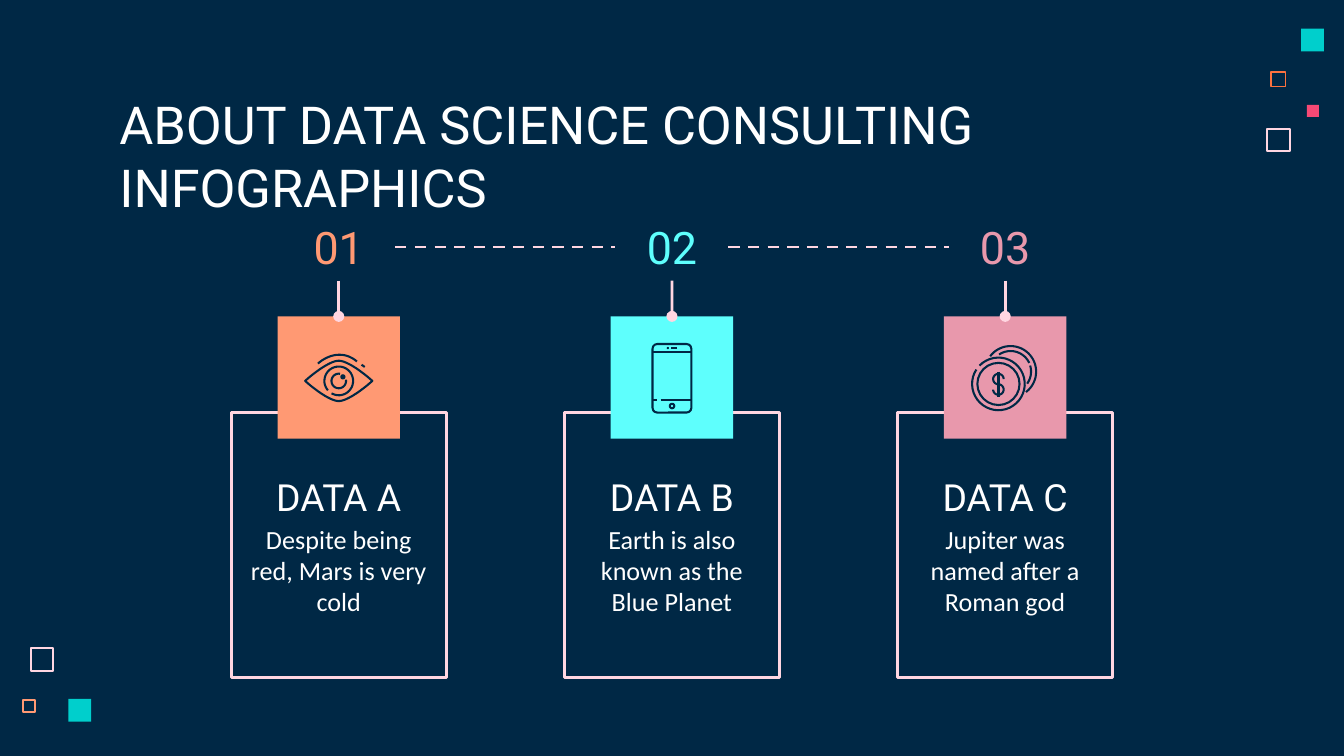
from math import cos, radians, sin

from lxml.etree import SubElement
from pptx import Presentation
from pptx.dml.color import RGBColor
from pptx.enum.dml import MSO_LINE
from pptx.enum.shapes import MSO_CONNECTOR, MSO_SHAPE
from pptx.enum.text import MSO_ANCHOR, PP_ALIGN
from pptx.oxml.ns import qn
from pptx.util import Pt

NAVY = RGBColor(0x00, 0x28, 0x45)
WHITE = RGBColor(0xFF, 0xFF, 0xFF)
BLUSH = RGBColor(0xFF, 0xD6, 0xE1)
PEACH = RGBColor(0xFF, 0x99, 0x73)
ORANGE = RGBColor(0xFC, 0x72, 0x3F)
TEAL = RGBColor(0x00, 0xCF, 0xCC)
AQUA = RGBColor(0x5E, 0xFF, 0xFD)
RED = RGBColor(0xF6, 0x49, 0x75)
ROSE = RGBColor(0xE8, 0x98, 0xAC)

TITLE = "ABOUT DATA SCIENCE CONSULTING INFOGRAPHICS"
CARDS = [
    ("01", "DATA A", "Despite being red, Mars is very cold", PEACH),
    ("02", "DATA B", "Earth is also known as the Blue Planet", AQUA),
    ("03", "DATA C", "Jupiter was named after a Roman god", ROSE),
]
# left, top, size, colour, outline width (0 for a solid square)
CORNER_SQUARES = [
    (678.3, 68.5, 13.1, BLUSH, 1),
    (680.5, 38.3, 8.6, ORANGE, 0.75),
    (697, 15.3, 12.3, TEAL, 0),
    (12, 374.4, 7.5, PEACH, 1),
    (700.1, 56.2, 6.5, RED, 0),
    (15.9, 346.7, 13.1, BLUSH, 1),
    (36.6, 374.4, 12.3, TEAL, 0),
]


def arc(x, y, radius, start, end, steps=40):
    angles = [radians(start + (end - start) * i / steps) for i in range(steps + 1)]
    return [(x + radius * cos(angle), y + radius * sin(angle)) for angle in angles]


def bezier(*controls, steps=20):
    """Points on a cubic Bezier curve with four control points."""
    points = []
    for i in range(steps + 1):
        t = i / steps
        weights = ((1 - t) ** 3, 3 * t * (1 - t) ** 2, 3 * t * t * (1 - t), t ** 3)
        points.append(tuple(sum(w * c[axis] for w, c in zip(weights, controls))
                            for axis in (0, 1)))
    return points


lid = bezier((-18, 1.8), (-14.4, -1.5), (-5, -9), (0, -9))
lid += [(-x, y) for x, y in reversed(lid)]
eye_outline = lid + [(x, 3.6 - y) for x, y in reversed(lid)]

# Offsets from the tile centre. Rings and dots are (x, y, radius).
ICONS = [
    {  # eye
        "strokes": [
            eye_outline,
            arc(0, 1.8, 7.7, 139, 480),
            arc(0, 1.8, 3.9, -10, 280),
            bezier((-11.2, -7.5), (-4, -13.6), (4, -13.6), (9.7, -8.6)),
            [(12.2, -6.9), (13.9, -5.7)],
        ],
        "rings": [],
        "dots": [(2.2, -0.4, 1.4)],
    },
    {  # phone
        "strokes": [
            [(-10.4, -13.7), (10.4, -13.7)],
            [(-6.1, 11.9), (10.4, 11.9)],
            [(-10.4, 11.9), (-8, 11.9)],
            [(-0.3, -15.8), (2.5, -15.8)],
        ],
        "rings": [(0, 15.2, 1.2)],
        "dots": [(-2.2, -15.8, 0.6)],
        "body": (20.8, 36.7),
    },
    {  # coins
        "strokes": [
            arc(-3.6, 3.4, 14.1, 224, 573),
            arc(2.9, -3.2, 13.7, 217, 413),
            arc(2.9, -3.2, 11, 236, 335),
            arc(2.9, -3.2, 11, 343, 396),
            arc(-3.6, 0.8, 2.8, 360, 90) + arc(-3.6, 6.4, 2.8, -90, 180),
            [(-3.6, -3.2), (-3.6, 10.4)],
        ],
        "rings": [(-3.6, 3.4, 11.3)],
        "dots": [],
    },
]

CENTRE, PITCH = 360, 178.5
CARD_WIDTH, CARD_TOP, CARD_HEIGHT = 115.2, 221, 142
TILE_SIZE, TILE_TOP = 65.6, 169.5
NUMBER_WIDTH, NUMBER_TOP = 60.5, 114.3
ICON_LINE = 1.1


def style(shape, fill=None, line=None, line_width=1.5):
    shape.shadow.inherit = False
    if fill is None:
        shape.fill.background()
    else:
        shape.fill.solid()
        shape.fill.fore_color.rgb = fill
    if line is None:
        shape.line.fill.background()
    else:
        shape.line.color.rgb = line
        shape.line.width = Pt(line_width)
    return shape


def add_box(shapes, left, top, width, height, kind=MSO_SHAPE.RECTANGLE, **look):
    shape = shapes.add_shape(kind, Pt(left), Pt(top), Pt(width), Pt(height))
    return style(shape, **look)


def add_text(shapes, text, left, top, width, height, size, font="Roboto",
             color=WHITE, align=PP_ALIGN.CENTER, anchor=MSO_ANCHOR.TOP):
    box = shapes.add_textbox(Pt(left), Pt(top), Pt(width), Pt(height))
    frame = box.text_frame
    frame.word_wrap = True
    frame.vertical_anchor = anchor
    frame.margin_left = frame.margin_right = Pt(7.2)
    frame.margin_top = frame.margin_bottom = Pt(7.2)
    paragraph = frame.paragraphs[0]
    paragraph.alignment = align
    run = paragraph.add_run()
    run.text = text
    run.font.name, run.font.size, run.font.color.rgb = font, Pt(size), color
    return box


def add_line(shapes, start=(0, 0), end=(0, 0), color=BLUSH, line_width=1.5):
    line = shapes.add_connector(MSO_CONNECTOR.STRAIGHT, *map(Pt, start + end))
    line.line.color.rgb = color
    line.line.width = Pt(line_width)
    SubElement(line._element.spPr, qn("a:effectLst"))
    return line


def draw_icon(shapes, icon, x, y):
    outlined = {"line": NAVY, "line_width": ICON_LINE}
    if "body" in icon:
        width, height = icon["body"]
        body = add_box(shapes, x - width / 2, y - 18, width, height,
                       MSO_SHAPE.ROUNDED_RECTANGLE, **outlined)
        body.adjustments[0] = 0.12
    for stroke in icon["strokes"]:
        points = [(x + dx, y + dy) for dx, dy in stroke]
        if len(points) == 2:
            add_line(shapes, *points, color=NAVY, line_width=ICON_LINE)
            continue
        points = [(Pt(px), Pt(py)) for px, py in points]
        builder = shapes.build_freeform(*points[0])
        builder.add_line_segments(points[1:], close=stroke is eye_outline)
        style(builder.convert_to_shape(), **outlined)
    for key, look in (("rings", outlined), ("dots", {"fill": NAVY})):
        for dx, dy, radius in icon[key]:
            add_box(shapes, x + dx - radius, y + dy - radius, 2 * radius, 2 * radius,
                    MSO_SHAPE.OVAL, **look)


presentation = Presentation()
presentation.slide_width, presentation.slide_height = Pt(720), Pt(405)
slide = presentation.slides.add_slide(presentation.slide_layouts[6])
slide.background.fill.solid()
slide.background.fill.fore_color.rgb = NAVY
shapes = slide.shapes

for left, top, size, color, outline in CORNER_SQUARES:
    if outline:
        add_box(shapes, left + outline / 2, top + outline / 2, size - outline, size - outline,
                line=color, line_width=outline)
    else:
        add_box(shapes, left, top, size, size, fill=color)

add_text(shapes, TITLE, 56.9, 42.5, 607, 45.4, 28, align=PP_ALIGN.LEFT)

previous_number = None
for index, ((number, heading, description, color), icon) in enumerate(zip(CARDS, ICONS)):
    x = CENTRE + (index - 1) * PITCH
    card_left = x - CARD_WIDTH / 2
    add_box(shapes, card_left, CARD_TOP, CARD_WIDTH, CARD_HEIGHT, line=BLUSH)
    tile = add_box(shapes, x - TILE_SIZE / 2, TILE_TOP, TILE_SIZE, TILE_SIZE, fill=color)
    draw_icon(shapes.add_group_shape().shapes, icon, x, TILE_TOP + TILE_SIZE / 2)

    add_text(shapes, heading, card_left, 249, CARD_WIDTH, 36, 20, anchor=MSO_ANCHOR.BOTTOM)
    add_text(shapes, description, card_left, 273, CARD_WIDTH, 53.3, 14, font="Calibri")
    number_box = add_text(shapes, number, x - NUMBER_WIDTH / 2, NUMBER_TOP, NUMBER_WIDTH, 36,
                          24, color=color, anchor=MSO_ANCHOR.MIDDLE)

    stem = add_line(shapes)
    stem.begin_connect(number_box, 2)
    stem.end_connect(tile, 0)
    SubElement(stem._element.spPr.find(qn("a:ln")), qn("a:tailEnd"), type="oval")
    if previous_number is not None:
        link = add_line(shapes)
        link.begin_connect(previous_number, 3)
        link.end_connect(number_box, 1)
        link.line.dash_style = MSO_LINE.DASH
    previous_number = number_box

presentation.save("out.pptx")
